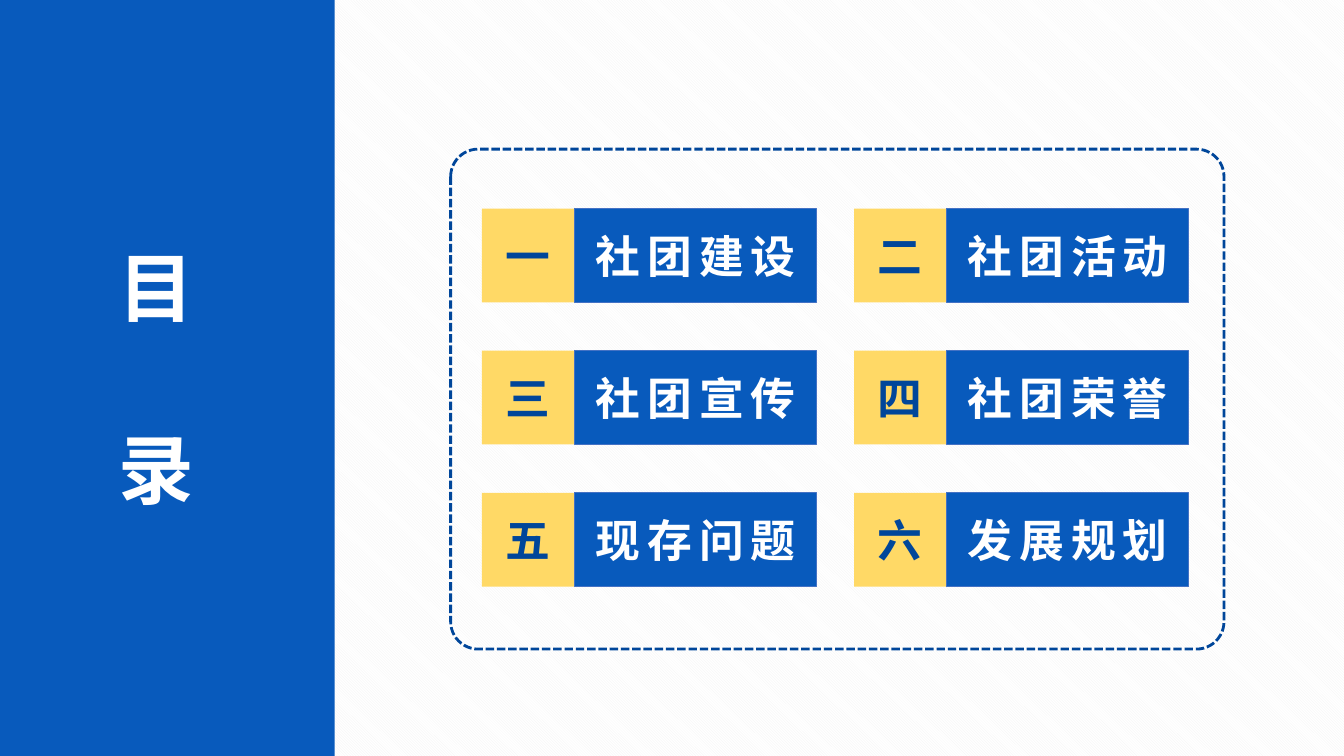
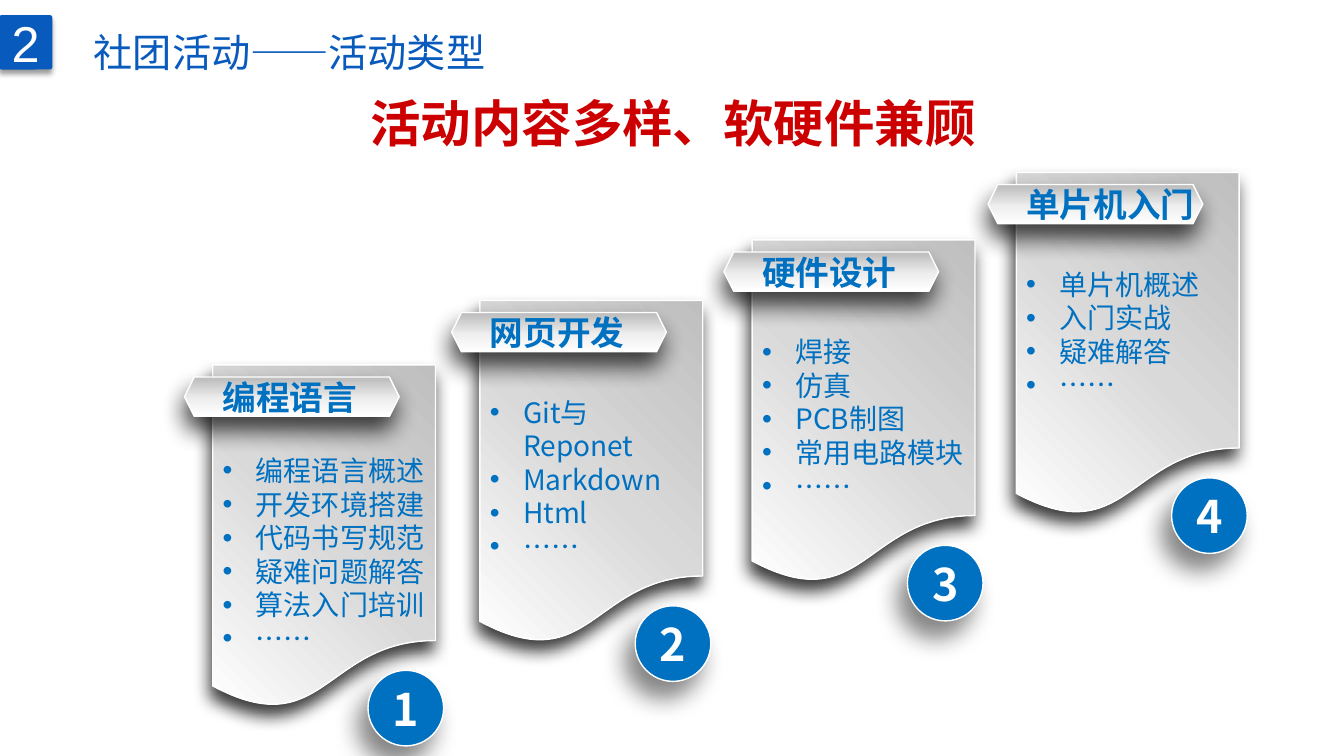
from dataclasses import dataclass
from typing import Optional, Sequence

from lxml.etree import SubElement
from pptx import Presentation
from pptx.dml.color import RGBColor
from pptx.enum.dml import MSO_LINE, MSO_PATTERN
from pptx.enum.shapes import MSO_SHAPE as SHAPE
from pptx.enum.text import MSO_ANCHOR as ANCHOR, MSO_AUTO_SIZE, PP_ALIGN as ALIGN
from pptx.oxml.ns import qn
from pptx.util import Inches, Pt


@dataclass(frozen=True)
class Theme:
    blue: str = "085ABC"
    navy: str = "00469A"
    sky: str = "0070C0"
    edge: str = "4472C4"
    yellow: str = "FFD966"
    red: str = "CC0000"
    white: str = "FFFFFF"
    stripe: str = "F2F2F2"
    latin: str = "Arial"
    cjk: str = "Noto Sans CJK SC"
    cover: int = 54
    headline: int = 36
    entry: int = 32
    title: int = 28
    label: int = 24
    body: int = 20


@dataclass(frozen=True)
class Shadow:
    color: str
    alpha: int
    blur: int
    dist: int
    angle: int


@dataclass(frozen=True)
class Gradient:
    stops: tuple
    angle: int


@dataclass(frozen=True)
class Card:
    left: float
    top: float
    label: str
    items: tuple
    list_gap: float = 0.89


T = Theme()
BADGE_SHADOW = Shadow("000000", 40, 4, 3, 90)
PAGE_SHADOW = Shadow("000000", 76, 12, 8, 105)
DISC_SHADOW = Shadow("0D0D0D", 50, 17, 14, 120)
TAB_SHADOW = Shadow("0D0D0D", 76, 17, 10, 100)
PAGE_FILL = Gradient(((0, "BFBFBF"), (50, "D9D9D9"), (100, "FFFFFF")), 225)
TAB_FILL = Gradient(((5, "BFBFBF"), (57, "EFEFEF"), (100, "FFFFFF")), 90)

ENTRIES = (
    ("一", "社团建设"), ("二", "社团活动"),
    ("三", "社团宣传"), ("四", "社团荣誉"),
    ("五", "现存问题"), ("六", "发展规划"),
)
CARDS = (
    Card(2.11, 3.62, "编程语言",
         ("编程语言概述", "开发环境搭建", "代码书写规范", "疑难问题解答", "算法入门培训", "……"), 0.83),
    Card(4.76, 2.98, "网页开发", ("Git与Reponet", "Markdown", "Html", "……")),
    Card(7.46, 2.38, "硬件设计", ("焊接", "仿真", "PCB制图", "常用电路模块", "……")),
    Card(10.08, 1.71, "单片机入门", ("单片机概述", "入门实战", "疑难解答", "……")),
)


def rgb(color: str) -> RGBColor:
    return RGBColor.from_string(color)


def add_bullet(p) -> None:
    pPr = p._p.get_or_add_pPr()
    pPr.set("marL", str(Inches(0.33)))
    pPr.set("indent", str(-Inches(0.33)))
    SubElement(pPr, qn("a:buFont")).set("typeface", T.latin)
    SubElement(pPr, qn("a:buChar")).set("char", "•")


def write(tf, lines: Sequence[str], *, size: int, color: str, font: str = T.cjk,
          bold: bool = False, align=ALIGN.LEFT, anchor=ANCHOR.TOP, wrap: bool = True,
          spacing: int = 0, gap: int = 0, leading: Optional[float] = None,
          bullets: bool = False, margins: Optional[tuple] = None) -> None:
    tf.auto_size = MSO_AUTO_SIZE.NONE
    tf.word_wrap = wrap
    tf.vertical_anchor = anchor
    if margins:
        tf.margin_left = tf.margin_right = Inches(margins[0])
        tf.margin_top = tf.margin_bottom = Inches(margins[1])
    for i, line in enumerate(lines):
        p = tf.add_paragraph() if i else tf.paragraphs[0]
        if bullets:
            add_bullet(p)
        p.alignment = align
        if leading:
            p.line_spacing = leading
        if i and gap:
            p.space_before = Pt(gap)
        r = p.add_run()
        r.text = line
        r.font.size, r.font.bold, r.font.name = Pt(size), bold, font
        r.font.color.rgb = rgb(color)
        rPr = r._r.get_or_add_rPr()
        SubElement(rPr, qn("a:ea")).set("typeface", T.cjk)
        if spacing:
            rPr.set("spc", str(spacing * 100))


def add_text(slide, box: tuple, lines: Sequence[str], **fmt) -> None:
    write(slide.shapes.add_textbox(*map(Inches, box)).text_frame, lines, **fmt)


def set_title(slide, box: tuple, lines: Sequence[str], **fmt) -> None:
    sp = slide.shapes.title
    sp.left, sp.top, sp.width, sp.height = map(Inches, box)
    write(sp.text_frame, lines, font=T.latin, **fmt)


def set_gradient(sp, gradient: Gradient) -> None:
    sp.fill.gradient()
    sp.fill.gradient_angle = gradient.angle
    stops = sp._element.spPr.find(qn("a:gradFill")).find(qn("a:gsLst"))
    for old in list(stops):
        stops.remove(old)
    for pos, color in gradient.stops:
        gs = SubElement(stops, qn("a:gs"), pos=str(pos * 1000))
        SubElement(gs, qn("a:srgbClr"), val=color)


def set_shadow(sp, shadow: Shadow) -> None:
    effects = sp._element.spPr.find(qn("a:effectLst"))
    outer = SubElement(effects, qn("a:outerShdw"), blurRad=str(Pt(shadow.blur)),
                       dist=str(Pt(shadow.dist)), dir=str(shadow.angle * 60000),
                       algn="ctr", rotWithShape="0")
    color = SubElement(outer, qn("a:srgbClr"), val=shadow.color)
    SubElement(color, qn("a:alpha"), val=str(shadow.alpha * 1000))


def add_shape(slide, kind, box: tuple, *, fill: Optional[str] = None,
              gradient: Optional[Gradient] = None, line: Optional[str] = None,
              width: float = 1, shadow: Optional[Shadow] = None):
    sp = slide.shapes.add_shape(kind, *map(Inches, box))
    sp.shadow.inherit = False
    if shadow:
        set_shadow(sp, shadow)
    if gradient:
        set_gradient(sp, gradient)
    elif fill:
        sp.fill.solid()
        sp.fill.fore_color.rgb = rgb(fill)
    else:
        sp.fill.background()
    if line:
        sp.line.color.rgb = rgb(line)
        sp.line.width = Pt(width)
    else:
        sp.line.fill.background()
    return sp


def write_centred(sp, text: str, **fmt) -> None:
    write(sp.text_frame, [text], align=ALIGN.CENTER, anchor=ANCHOR.MIDDLE,
          margins=(0, 0), **fmt)


def add_entry(slide, left: float, top: float, number: str, name: str) -> None:
    tile = add_shape(slide, SHAPE.RECTANGLE, (left, top, 0.92, 0.93), fill=T.yellow)
    write_centred(tile, number, size=T.entry, color=T.navy, bold=True)
    bar = add_shape(slide, SHAPE.RECTANGLE, (left + 0.92, top, 2.4, 0.93),
                    fill=T.blue, line=T.edge, width=0.75)
    write_centred(bar, name, size=T.entry, color=T.white, bold=True, spacing=5)


def add_card(slide, number: int, card: Card) -> None:
    x, y = card.left, card.top
    add_shape(slide, SHAPE.FLOWCHART_DOCUMENT, (x, y, 2.21, 3.41),
              gradient=PAGE_FILL, line=T.white, shadow=PAGE_SHADOW)
    disc = add_shape(slide, SHAPE.OVAL, (x + 1.54, y + 3.03, 0.75, 0.75),
                     fill=T.sky, line=T.white, shadow=DISC_SHADOW)
    write_centred(disc, str(number), size=T.entry, color=T.white, bold=True)
    tab = add_shape(slide, SHAPE.HEXAGON, (x - 0.28, y + 0.12, 2.13, 0.39),
                    gradient=TAB_FILL, line=T.white, shadow=TAB_SHADOW)
    tab._element.spPr.find(qn("a:xfrm")).set("flipV", "1")
    add_text(slide, (x, y + 0.07, 0.21 + len(card.label) / 3, 0.5), [card.label],
             size=T.label, color=T.sky, bold=True, wrap=False)
    add_text(slide, (x, y + card.list_gap, 2.24, 0.1 + len(card.items) / 3), card.items,
             size=T.body, color=T.sky, bullets=True)


def build_contents(slide) -> None:
    bg = slide.background.fill
    bg.patterned()
    bg.pattern = MSO_PATTERN.DARK_DOWNWARD_DIAGONAL
    bg.fore_color.rgb, bg.back_color.rgb = rgb(T.stripe), rgb(T.white)
    band = add_shape(slide, SHAPE.RECTANGLE, (0, 0, 3.32, 7.5), fill=T.blue)
    slide.shapes.title._element.addprevious(band._element)
    set_title(slide, (1.08, 2.34, 1.15, 2.83), ["目", "录"], size=T.cover,
              color=T.white, bold=True, gap=65)
    frame = add_shape(slide, SHAPE.ROUNDED_RECTANGLE, (4.47, 1.48, 7.67, 4.96),
                      line=T.navy, width=2)
    frame.adjustments[0] = 0.055
    frame.line.dash_style = MSO_LINE.SQUARE_DOT
    for i, (number, name) in enumerate(ENTRIES):
        row, col = divmod(i, 2)
        add_entry(slide, 4.78 + 3.69 * col, 2.07 + 1.41 * row, number, name)


def build_activities(slide) -> None:
    badge = add_shape(slide, SHAPE.ROUNDED_RECTANGLE, (-0.01, 0.15, 0.53, 0.54),
                      fill=T.blue, shadow=BADGE_SHADOW)
    badge.adjustments[0] = 0.05
    write_centred(badge, "2", size=T.headline, color=T.white, font=T.latin)
    set_title(slide, (0.83, 0, 4.13, 0.72), ["社团活动——活动类型"], size=T.title,
              color=T.blue, leading=1.5, wrap=False)
    for number, card in enumerate(CARDS, 1):
        add_card(slide, number, card)
    add_text(slide, (0.26, 0.69, 12.83, 0.8), ["活动内容多样、软硬件兼顾"],
             size=T.headline, color=T.red, bold=True, align=ALIGN.CENTER,
             leading=1.3, margins=(0.09, 0.04))


def main() -> None:
    prs = Presentation()
    prs.slide_width, prs.slide_height = Inches(13.33), Inches(7.5)
    for build in (build_contents, build_activities):
        build(prs.slides.add_slide(prs.slide_layouts[5]))
    prs.save("out.pptx")


if __name__ == "__main__":
    main()
